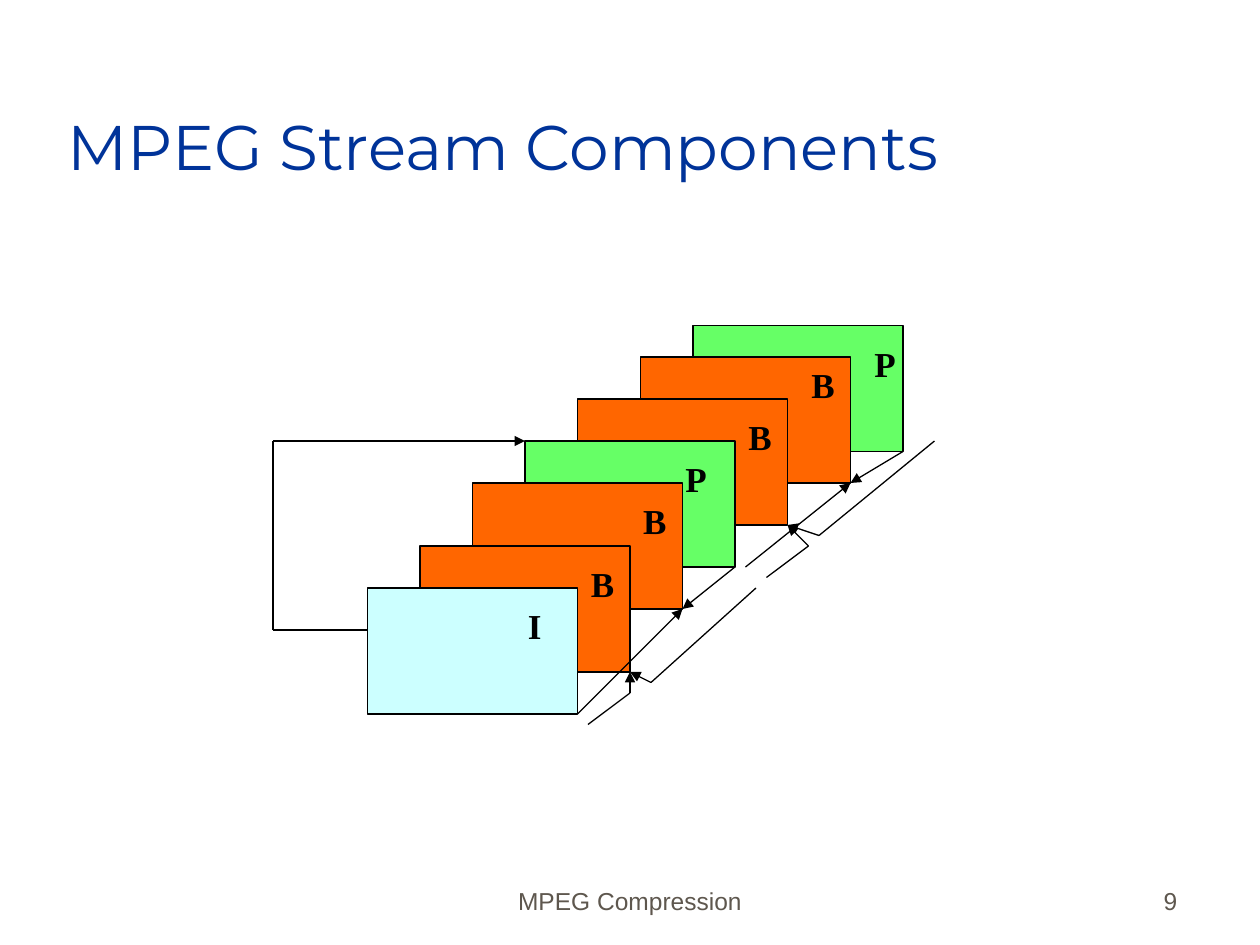
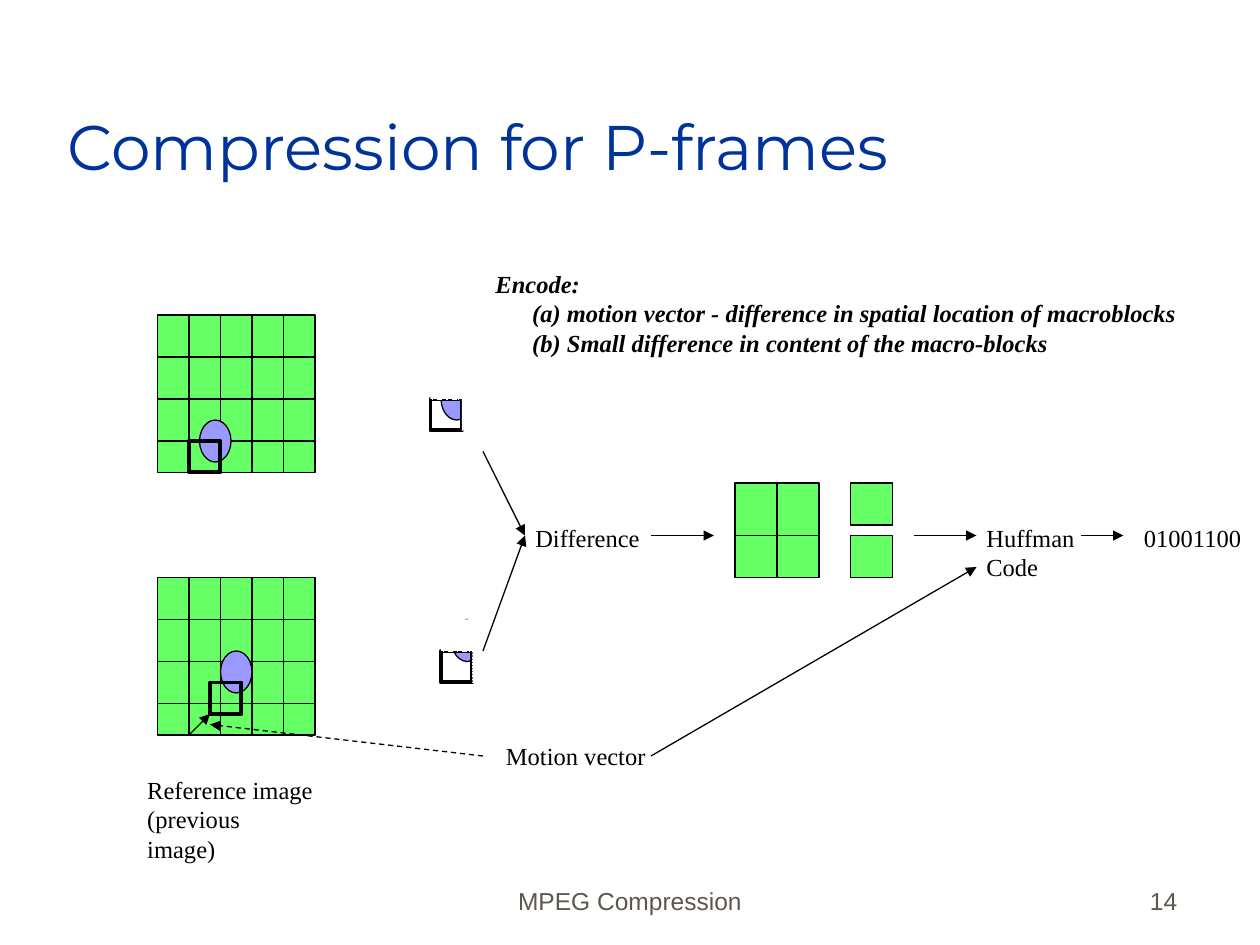
from dataclasses import dataclass
from itertools import pairwise

from pptx import Presentation
from pptx.dml.color import RGBColor
from pptx.enum.dml import MSO_LINE_DASH_STYLE as Dash
from pptx.enum.shapes import MSO_CONNECTOR, MSO_SHAPE as Preset
from pptx.enum.text import MSO_ANCHOR as Anchor, PP_ALIGN as Align
from pptx.oxml.ns import qn
from pptx.util import Inches, Pt
from lxml.etree import SubElement

COLUMNS, ROWS = 120, 90
SLIDE_WIDTH, SLIDE_HEIGHT = Inches(10), Inches(7.5)


@dataclass(frozen=True)
class TextStyle:
    font: str
    size: int
    color: str = "000000"
    bold: bool = False
    italic: bool = False


@dataclass(frozen=True)
class Theme:
    ink: str = "000000"
    paper: str = "FFFFFF"
    green: str = "66FF66"
    orange: str = "FF6600"
    ice: str = "CCFFFF"
    violet: str = "9999FF"
    thin: float = 0.75
    thick: float = 2.25
    title: TextStyle = TextStyle("Montserrat", 36, "003399")
    footer: TextStyle = TextStyle("Arial", 14, "5E574E")
    label: TextStyle = TextStyle("Times New Roman", 14)
    frame: TextStyle = TextStyle("Times New Roman", 20, bold=True)
    note: TextStyle = TextStyle("Times New Roman", 14, bold=True, italic=True)


THEME = Theme()


@dataclass
class Region:
    """A box on the slide grid; its parts are placed from its top left corner."""
    slide: object
    left: float
    top: float
    width: float
    height: float

    def inner(self, left, top, width, height):
        return Region(self.slide, self.left + left, self.top + top, width, height)

    def point(self, x, y):
        return (round((self.left + x) * SLIDE_WIDTH / COLUMNS),
                round((self.top + y) * SLIDE_HEIGHT / ROWS))

    def bounds(self):
        x, y = self.point(0, 0)
        right, bottom = self.point(self.width, self.height)
        return x, y, right - x, bottom - y

    def outline(self, fill=None, preset=Preset.RECTANGLE, color=THEME.ink,
                weight=THEME.thin, dash=None):
        shape = self.slide.shapes.add_shape(preset, *self.bounds())
        shape.shadow.inherit = False
        if fill:
            shape.fill.solid()
            shape.fill.fore_color.rgb = RGBColor.from_string(fill)
        else:
            shape.fill.background()
        style_line(shape.line, color, weight, dash)

    def text(self, lines, style, align=Align.LEFT, anchor=Anchor.TOP, wrap=True):
        box = self.slide.shapes.add_textbox(*self.bounds())
        frame = box.text_frame
        frame.word_wrap = wrap
        frame.vertical_anchor = anchor
        frame.text = lines
        for paragraph in frame.paragraphs:
            paragraph.alignment = align
            for run in paragraph.runs:
                font = run.font
                font.name, font.size = style.font, Pt(style.size)
                font.bold, font.italic = style.bold, style.italic
                font.color.rgb = RGBColor.from_string(style.color)
        return frame

    def label(self, x, y, width, lines, style=THEME.label):
        height = 1.2 + 0.2 * style.size * (lines.count("\n") + 1)
        return self.inner(x, y, width, height).text(lines, style, wrap=False)

    def route(self, *points, arrow=True, dash=None):
        """Joins the points with straight lines, the last one with an arrowhead."""
        for start, end in pairwise(points):
            link = self.slide.shapes.add_connector(
                MSO_CONNECTOR.STRAIGHT, *self.point(*start), *self.point(*end))
            style_line(link.line, THEME.ink, THEME.thin, dash)
            if arrow and end == points[-1]:
                SubElement(link.line._get_or_add_ln(), qn("a:tailEnd"), type="triangle")
            SubElement(link._element.spPr, qn("a:effectLst"))

    def grid(self, columns, rows):
        """Green box divided at the given offsets."""
        self.outline(THEME.green)
        for x in columns:
            self.route((x, 0), (x, self.height), arrow=False)
        for y in rows:
            self.route((0, y), (self.width, y), arrow=False)


def style_line(line, color, weight, dash):
    line.color.rgb = RGBColor.from_string(color)
    line.width = Pt(weight)
    if dash:
        line.dash_style = dash


def base_slide(deck, title, number):
    """Blank slide with the shared title and footer."""
    slide = deck.slides.add_slide(deck.slide_layouts[6])
    page = Region(slide, 0, 0, COLUMNS, ROWS)
    page.inner(5.25, 3, 102, 15).text(title, THEME.title, anchor=Anchor.BOTTOM)
    page.inner(41, 81.75, 38, 6).text(
        "MPEG Compression", THEME.footer, Align.CENTER, Anchor.BOTTOM)
    page.inner(88.3, 81.75, 25, 6).text(
        str(number), THEME.footer, Align.RIGHT, Anchor.BOTTOM)
    return page


# Stream slide

def frame_stack(region):
    fills = {"I": THEME.ice, "P": THEME.green, "B": THEME.orange}
    # Frames from back to front: type, corner, offset of the letter
    frames = [("P", 40, 0, 16, 1), ("B", 35, 3, 15, 0), ("B", 29, 7, 15, 1),
              ("P", 24, 11, 14, 1), ("B", 19, 15, 15, 1), ("B", 14, 21, 15, 1),
              ("I", 9, 25, 14, 1)]
    for kind, x, y, _, _ in frames:
        region.inner(x, y, 20, 12).outline(fills[kind])
    for kind, x, y, dx, dy in frames:
        region.label(x + dx + 0.08, y + dy, 4.5, kind, THEME.frame)

    # Prediction arrows
    for points in (
        [(9, 29), (0, 29), (0, 11), (24, 11)],
        [(29, 37), (39, 27)],
        [(45, 23), (55, 15)],
        [(60, 12), (55, 15)],
        [(47, 24), (51, 21), (49, 19)],
        [(63, 11), (52, 20), (49, 19)],
        [(44, 23), (39, 27)],
        [(30, 38), (34, 35), (34, 33)],
        [(46, 25), (36, 34), (34, 33)],
    ):
        region.route(*points)


def stream_slide(deck):
    page = base_slide(deck, "MPEG Stream Components", 9)
    frame_stack(page.inner(26, 31, 63, 38))


# P-frame slide

def macroblock(region, rise):
    """Block outline over a moving ball that starts `rise` rows above it."""
    region.inner(1, -rise, 3, 4).outline(THEME.violet, Preset.OVAL)
    region.outline(weight=THEME.thick)


def image_grid(region, block_x, block_y, rise):
    region.grid(range(3, 15, 3), range(4, 15, 4))
    macroblock(region.inner(block_x, block_y, 3, 3), rise)


def cropped_block(region, rise):
    macroblock(region, rise)
    # White covers hide the ball outside the block
    region.inner(0, -3, 5, 3).outline(
        THEME.paper, color=THEME.paper, weight=0, dash=Dash.DASH_DOT)
    region.inner(3, 0, 2, 3).outline(
        THEME.paper, color=THEME.paper, weight=0.25, dash=Dash.DASH)


def encoder(region):
    # Difference of the two blocks
    region.inner(24, 3, 8, 9).grid([4], [5])
    for y in (3, 8):
        region.inner(35, y, 4, 4).outline(THEME.green)

    # Steps and the arrows between them
    for x, y, width, step in (
        (3.8, 6.2, 12.36, "Difference"),
        (46.76, 6.2, 11.4, "Huffman\nCode"),
        (1, 27, 15.72, "Motion vector"),
        (61.76, 6.2, 11.76, "01001100"),
    ):
        region.label(x, y, width, step)
    for start, end in (
        ((0, 0), (4, 8)), ((0, 19), (4, 8)), ((16, 8), (22, 8)),
        ((41, 8), (47, 8)), ((16, 29), (47, 11)), ((57, 8), (61, 8)),
    ):
        region.route(start, end)


def encode_note(region):
    note = region.label(0, 0, region.width, "\n".join((
        "Encode:",
        "(a) motion vector - difference in spatial location of macroblocks",
        "(b) Small difference in content of the macro-blocks")), THEME.note)
    for item in note.paragraphs[1:]:
        item._p.get_or_add_pPr().set("marL", str(Pt(21)))


def p_frame_slide(deck):
    page = base_slide(deck, "Compression for P-frames", 14)

    # Current image above its reference
    image_grid(page.inner(15, 30, 15, 15), 3, 12, rise=2)
    reference = page.inner(15, 55, 15, 15)
    image_grid(reference, 5, 10, rise=3)
    reference.label(-2.16, 18.2, 18.24, "Reference image\n(previous image)")

    # Blocks taken out of both images
    cropped_block(page.inner(41, 38, 3, 3), rise=2)
    cropped_block(page.inner(42, 62, 3, 3), rise=3)

    # Motion vector and its pointer
    reference.route((31, 17), (5, 14), dash=Dash.DASH)
    reference.route((3, 15), (5, 13))

    encoder(page.inner(46, 43, 74, 31))
    encode_note(page.inner(46, 25, 67.32, 9.6))


def main():
    deck = Presentation()
    deck.slide_width, deck.slide_height = SLIDE_WIDTH, SLIDE_HEIGHT
    stream_slide(deck)
    p_frame_slide(deck)
    deck.save("out.pptx")


if __name__ == "__main__":
    main()
